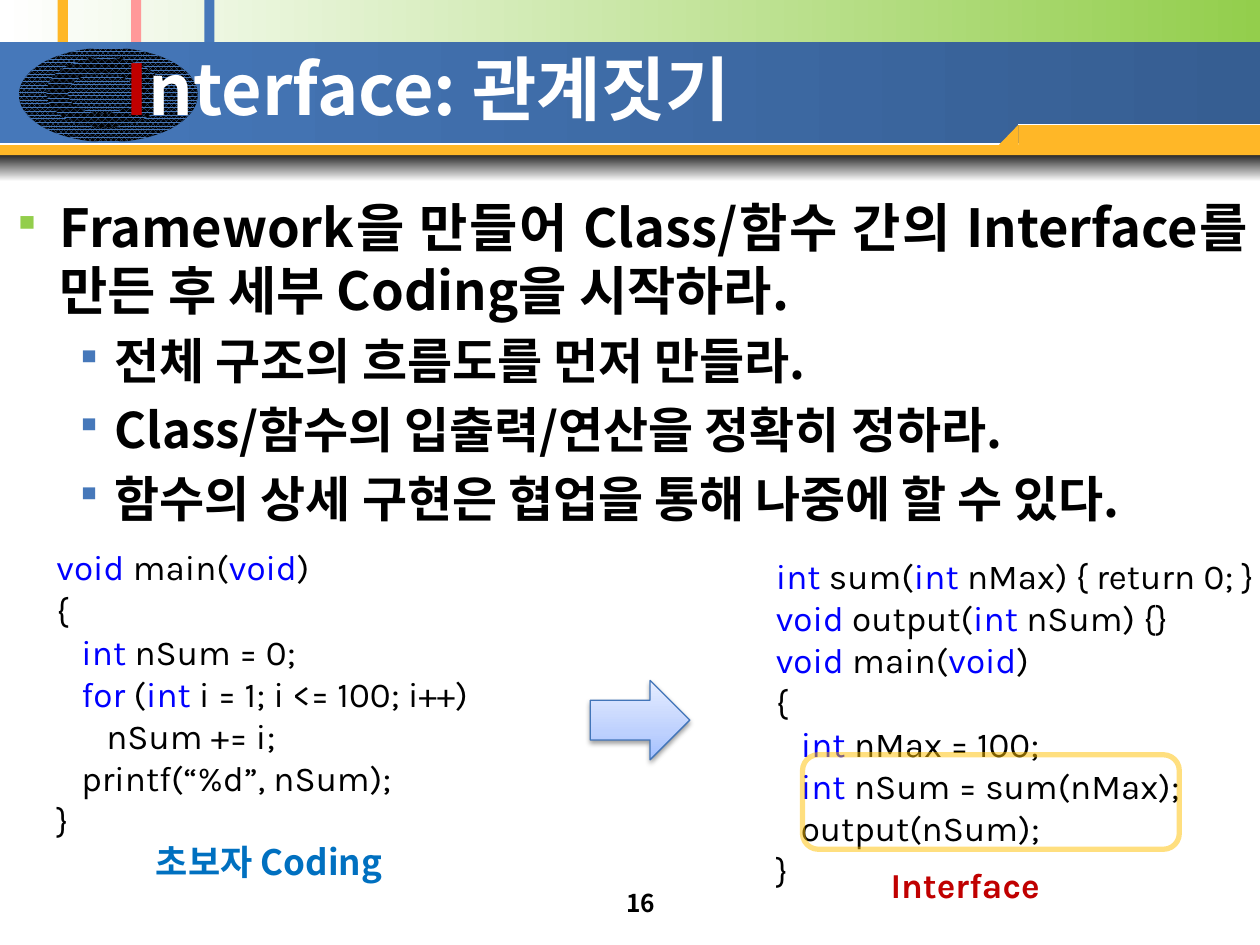
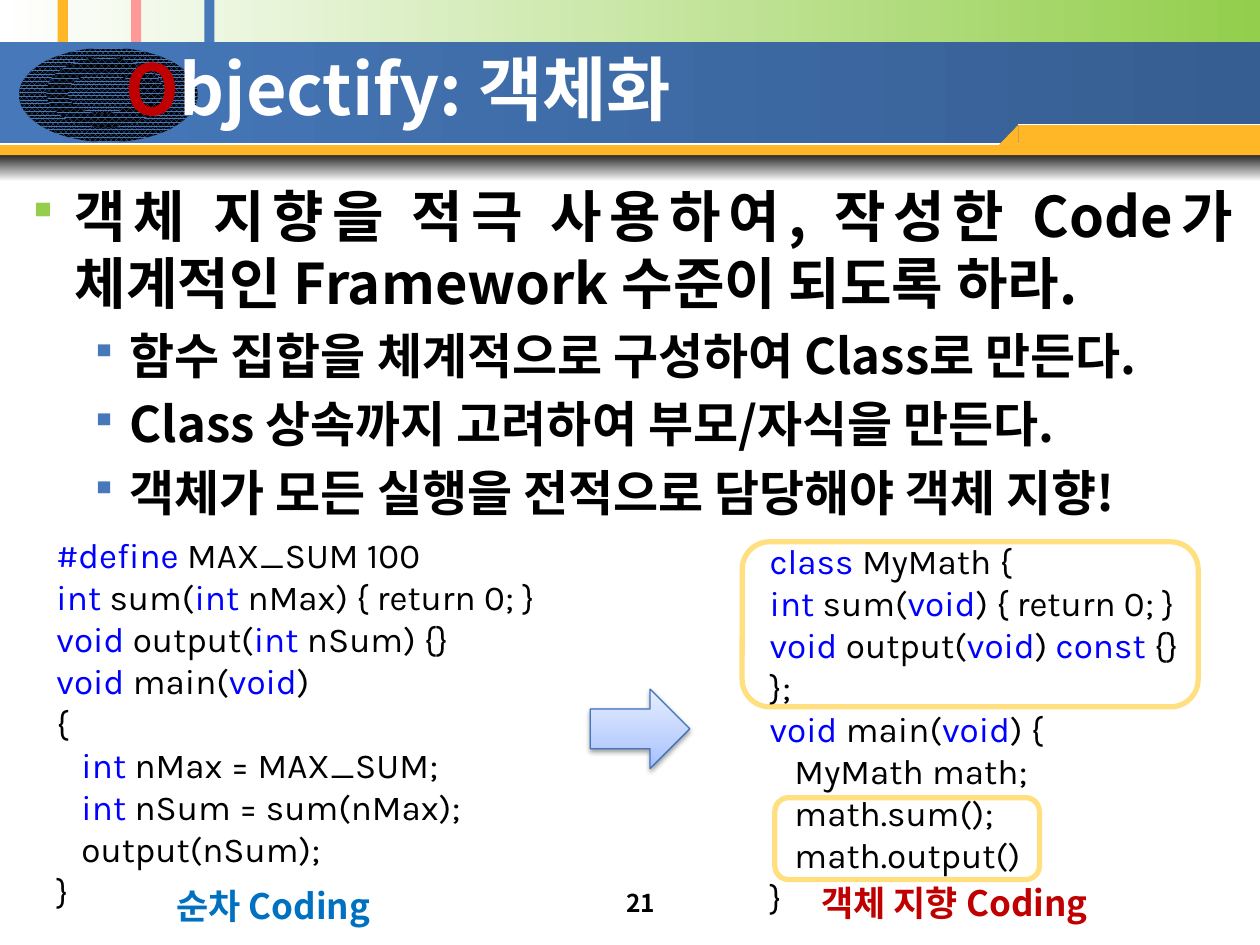
from copy import deepcopy

from lxml import etree
from pptx import Presentation
from pptx.dml.color import RGBColor
from pptx.enum.dml import MSO_PATTERN as PATTERN
from pptx.enum.shapes import MSO_CONNECTOR, MSO_SHAPE as SHAPE
from pptx.enum.text import MSO_ANCHOR as ANCHOR, PP_ALIGN as ALIGN
from pptx.oxml.ns import qn
from pptx.util import Pt

C = dict(white="FFFFFF", black="000000", green="93CE4C", blue="4678BA", deep="365E92",
         orange="FFB727", pink="FF9999", keyword="0000FF", red="C00000", sky="0070C0",
         frame="FFC000", arrow_line="4275B9", arrow_dark="A2BFFF", arrow_mid="BED1FE",
         arrow_light="E6EDFF")
RGB = {name: RGBColor.from_string(value) for name, value in C.items()}
KOREAN, CODE = "Noto Sans CJK KR", "Karla"


def shape(s, kind, box, fill=None, angle=0, line=None, width=0.75):
    """Add a preset shape; fill is a colour name or a list of (position, colour name)."""
    sp = s.shapes.add_shape(kind, *map(Pt, box))
    sp.shadow.inherit = False
    if fill is None:
        sp.fill.background()
    elif isinstance(fill, str):
        sp.fill.solid()
        sp.fill.fore_color.rgb = RGB[fill]
    else:
        sp.fill.gradient()
        sp.fill.gradient_angle = angle
        stops = sp._element.spPr.find(qn("a:gradFill")).find(qn("a:gsLst"))
        for _ in fill[2:]:
            stops.append(deepcopy(stops[-1]))
        for stop, (position, color) in zip(sp.fill.gradient_stops, fill):
            stop.position = position
            stop.color.rgb = RGB[color]
    if line:
        sp.line.color.rgb = RGB[line]
        sp.line.width = Pt(width)
    else:
        sp.line.fill.background()
    return sp


def text(s, box, lines, sizes=(20,), font=KOREAN, color="black", accent="keyword",
         bold=False, align=None, middle=True, right=7.2, bullets=()):
    """Add a text box; parts between backticks take the accent colour.

    sizes and bullets (indent, hang, colour) go by line, the last one repeating.
    """
    tf = s.shapes.add_textbox(*map(Pt, box)).text_frame
    tf.word_wrap = True
    tf.margin_right = Pt(right)
    tf.vertical_anchor = ANCHOR.MIDDLE if middle else ANCHOR.TOP
    for i, content in enumerate(lines):
        p = tf.add_paragraph() if i else tf.paragraphs[0]
        size = sizes[min(i, len(sizes) - 1)]
        if bullets:
            indent, hang, bullet_color = bullets[min(i, len(bullets) - 1)]
            pPr = p._p.get_or_add_pPr()
            pPr.set("marL", str(Pt(indent)))
            pPr.set("indent", str(-Pt(hang)))
            clr = etree.SubElement(pPr, qn("a:buClr"))
            etree.SubElement(clr, qn("a:srgbClr"), val=C[bullet_color])
            etree.SubElement(pPr, qn("a:buSzPct"), val="75000")
            etree.SubElement(pPr, qn("a:buChar"), char="▪")
            if i:
                p.space_before = Pt(0.2 * size)
        p.alignment = align
        p.line_spacing = Pt(1.2 * size)
        for j, part in enumerate(content.split("`")):
            if part:
                r = p.add_run()
                r.text = part
                r.font.name = font
                r.font.size = Pt(size)
                r.font.bold = bold
                r.font.color.rgb = RGB[accent if j % 2 else color]


# Each code block is (left, vertical centre, lines)
slides = [
    dict(
        title="`I`nterface: 관계짓기", number="16",
        body_box=(0, 108, 720, 390), lead_size=30,
        body=["Framework을 만들어 Class/함수 간의 Interface를 만든 후 세부 Coding을 시작하라.",
              "전체 구조의 흐름도를 먼저 만들라.",
              "Class/함수의 입출력/연산을 정확히 정하라.",
              "함수의 상세 구현은 협업을 통해 나중에 할 수 있다."],
        codes=[
            (25.2, 396, [
                "`void` main(`void`)",
                "{",
                "   `int `nSum = 0;",
                "   `for `(`int `i = 1; i <= 100; i++)",
                "      nSum += i;",
                "   printf(“%d”, nSum);",
                "}"]),
            (436.3, 412.8, [
                "`int` sum(`int `nMax) { return 0; }",
                "`void` output(`int `nSum) {}",
                "`void` main(`void`)",
                "{",
                "   `int `nMax = 100;",
                "   `int `nSum = sum(nMax);",
                "   output(nSum);",
                "}"])],
        captions=[(82, 471.6, "초보자 Coding", KOREAN, "sky"),
                  (501.8, 484.6, "Interface", CODE, "red")],
        arrow_top=388.8,
        frames=[(458.6, 431.3, 215.3, 54)]),
    dict(
        title="`O`bjectify: 객체화", number="21",
        body_box=(8.6, 100, 702.8, 390), lead_size=32,
        body=["객체 지향을 적극 사용하여, 작성한 Code가 체계적인 Framework 수준이 되도록 하라.",
              "함수 집합을 체계적으로 구성하여 Class로 만든다.",
              "Class 상속까지 고려하여 부모/자식을 만든다.",
              "객체가 모든 실행을 전적으로 담당해야 객체 지향!"],
        codes=[
            (25.2, 412.8, [
                "`#define `MAX_SUM 100",
                "`int` sum(`int `nMax) { return 0; }",
                "`void` output(`int `nSum) {}",
                "`void` main(`void`)",
                "{",
                "   `int `nMax = MAX_SUM;",
                "   `int `nSum = sum(nMax);",
                "   output(nSum);",
                "}"]),
            (432.7, 416.2, [
                "`class `MyMath {",
                "`int` sum(`void`) { return 0; }",
                "`void` output(`void`) `const` {}",
                "};",
                "`void` main(`void`) {",
                "   MyMath math;",
                "   math.sum();",
                "   math.output()",
                "}"])],
        captions=[(93.6, 496.8, "순차 Coding", KOREAN, "sky"),
                  (462.2, 494.6, "객체 지향 Coding", KOREAN, "red")],
        arrow_top=393.8,
        frames=[(424.1, 309.6, 260.6, 94.3), (442.8, 455.8, 151.2, 46.8)]),
]

prs = Presentation()
prs.slide_width, prs.slide_height = Pt(720), Pt(540)

for data in slides:
    s = prs.slides.add_slide(prs.slide_layouts[6])

    # Header band
    shape(s, SHAPE.RECTANGLE, (0, 0, 720, 66), [(0, "white"), (1, "green")])
    for i, color in enumerate(("orange", "pink", "blue")):
        shape(s, SHAPE.RECTANGLE, (33 + 41.9 * i, 0, 5.8, 30), color)
    shape(s, SHAPE.RECTANGLE, (0, 85.7, 720, 18), [(0, "black"), (1, "white")], angle=270)
    shape(s, SHAPE.RECTANGLE, (0, 23.8, 720, 58), [(0, "blue"), (1, "deep")])
    for box, pattern in (((10.8, 27.2, 102.2, 54), PATTERN.PERCENT_80),
                         ((26.6, 33.1, 67, 39.6), PATTERN.PERCENT_75),
                         ((38.9, 41.8, 38.9, 23), PATTERN.PERCENT_80)):
        fill = shape(s, SHAPE.OVAL, box).fill
        fill.patterned()
        fill.pattern = pattern
        fill.fore_color.rgb, fill.back_color.rgb = RGB["blue"], RGB["black"]
    shape(s, SHAPE.RECTANGLE, (0, 82.8, 720, 5.8), "orange")
    shape(s, SHAPE.RECTANGLE, (582, 71.3, 138, 12.2), "orange")
    builder = s.shapes.build_freeform(Pt(570.2), Pt(83.5))
    builder.add_line_segments([(Pt(582), Pt(83.5)), (Pt(582), Pt(71.3))], close=True)
    slope = builder.convert_to_shape()
    slope.shadow.inherit = False
    slope.fill.solid()
    slope.fill.fore_color.rgb = RGB["orange"]
    slope.line.fill.background()
    for x1, x2, y in ((0, 571, 82.5), (582, 720, 71.3)):
        edge = s.shapes.add_connector(MSO_CONNECTOR.STRAIGHT, Pt(x1), Pt(y), Pt(x2), Pt(y))
        edge.line.color.rgb = RGB["white"]
        edge.line.width = Pt(0.75)
        etree.SubElement(edge._element.spPr, qn("a:effectLst"))

    # Title, bullets and page number
    text(s, (64.8, 28.1, 613.4, 43.9), [data["title"]], sizes=(40,), color="white",
         accent="red", bold=True)
    text(s, data["body_box"], data["body"], sizes=(data["lead_size"], 28), bold=True,
         align=ALIGN.JUSTIFY, middle=False,
         bullets=((27, 27, "green"), (58.5, 22.5, "blue")))
    text(s, (306, 504, 120, 36), [data["number"]], sizes=(14,), bold=True,
         align=ALIGN.CENTER, middle=False)

    # Code before and after
    for left, center, lines in data["codes"]:
        height = 24 * len(lines) + 7.2
        text(s, (left, center - height / 2, 283, height), lines, font=CODE, right=0)
    for left, top, caption, font, color in data["captions"]:
        text(s, (left, top, 190, 41.8), [caption], font=font, color=color, bold=True)
    arrow = shape(s, SHAPE.RIGHT_ARROW, (337.3, data["arrow_top"], 56.9, 45.4),
                  [(0, "arrow_dark"), (0.35, "arrow_mid"), (1, "arrow_light")],
                  angle=90, line="arrow_line")
    effects = arrow._element.spPr.find(qn("a:effectLst"))
    shadow = etree.SubElement(effects, qn("a:outerShdw"), blurRad=str(Pt(3.1)),
                              dist=str(Pt(1.6)), dir="5400000", rotWithShape="0")
    clr = etree.SubElement(shadow, qn("a:srgbClr"), val=C["black"])
    etree.SubElement(clr, qn("a:alpha"), val="38000")
    for box in data["frames"]:
        frame = shape(s, SHAPE.ROUNDED_RECTANGLE, box, line="frame", width=3)
        clr = frame._element.spPr.find(qn("a:ln")).find(".//" + qn("a:srgbClr"))
        etree.SubElement(clr, qn("a:alpha"), val="50000")

prs.save("out.pptx")
